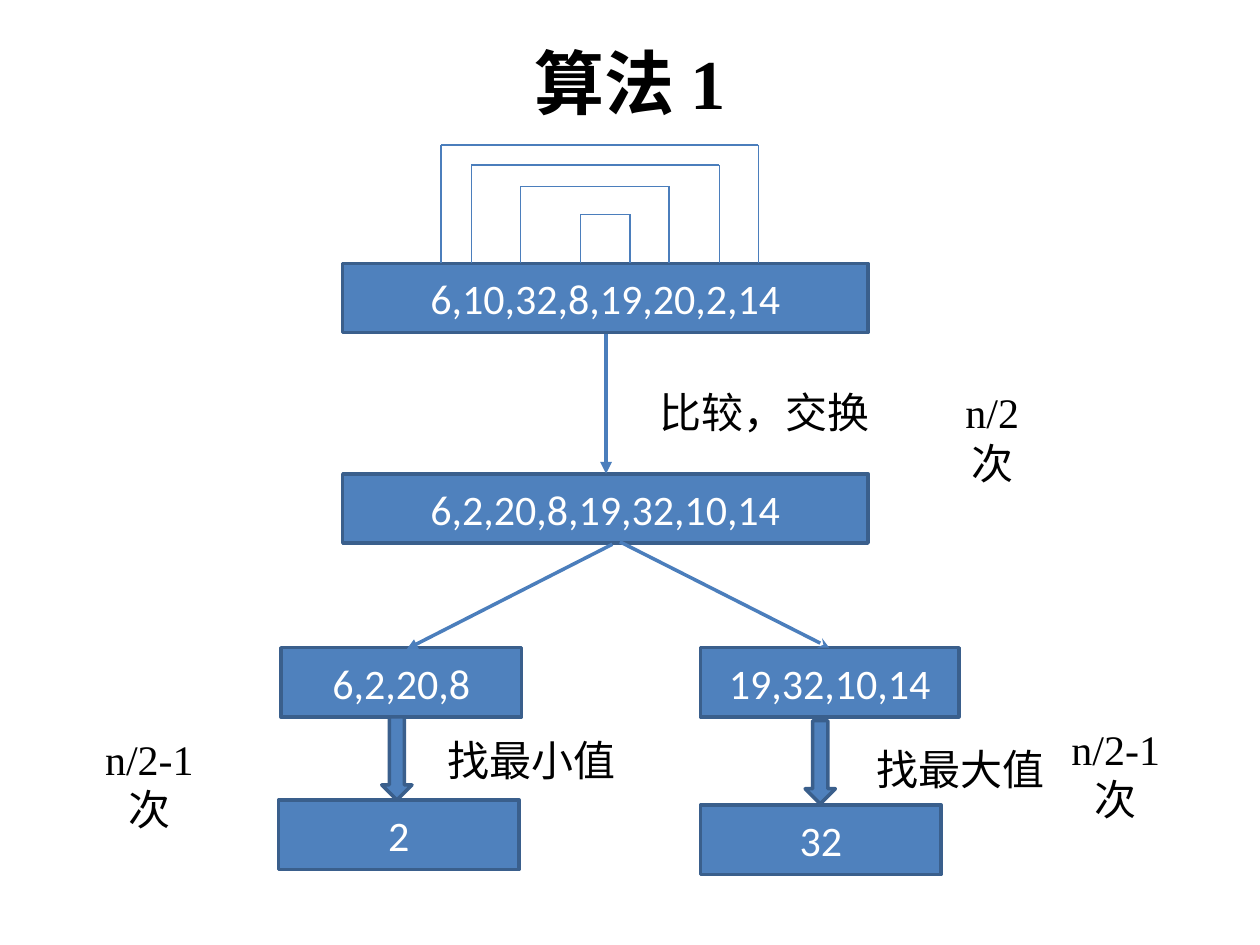
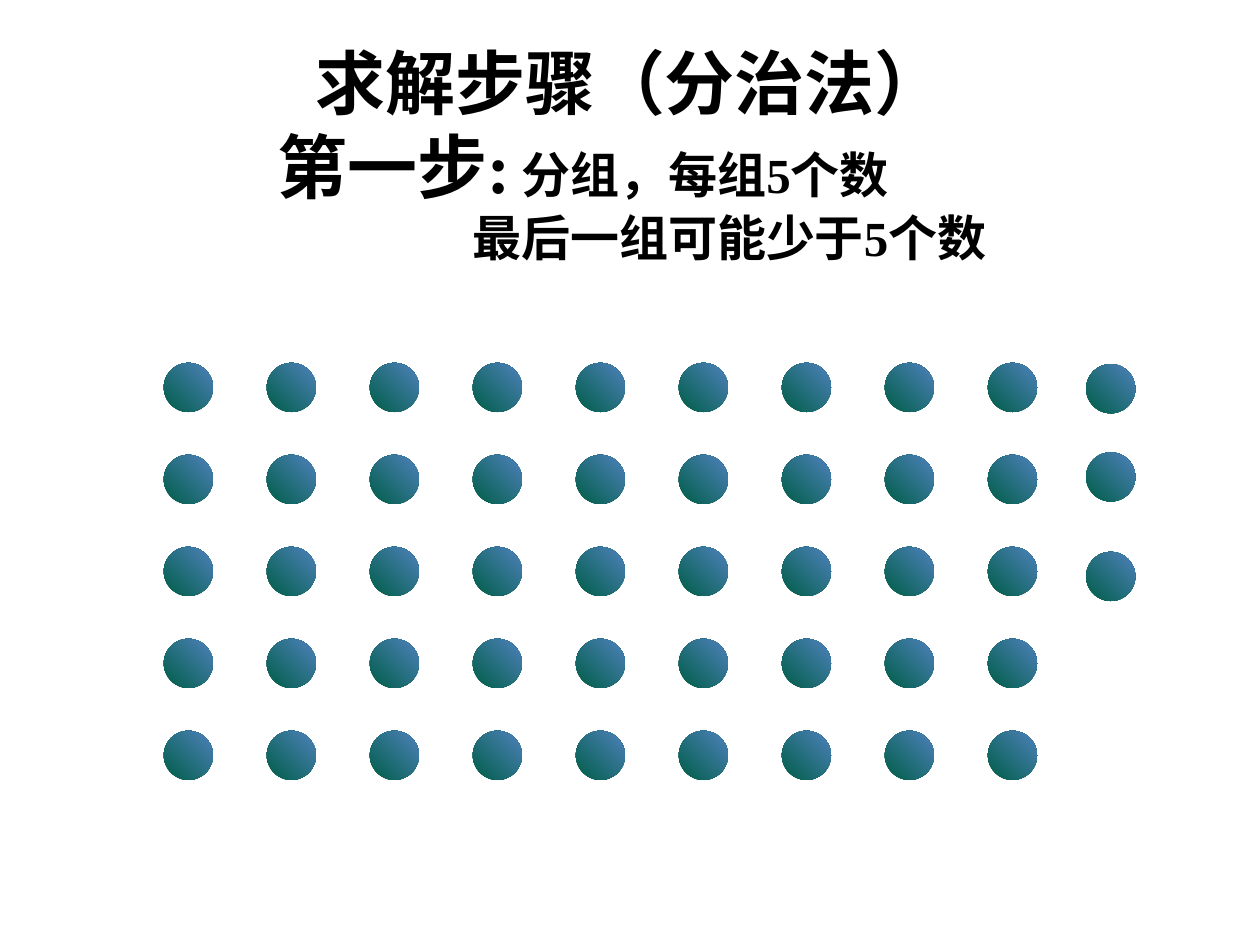
from dataclasses import dataclass

from lxml import etree
from pptx import Presentation
from pptx.dml.color import RGBColor
from pptx.enum.shapes import MSO_CONNECTOR, MSO_SHAPE
from pptx.enum.text import MSO_ANCHOR, MSO_AUTO_SIZE, PP_ALIGN
from pptx.oxml.ns import qn
from pptx.util import Inches, Pt

RECTANGLE, DOWN_ARROW, OVAL = MSO_SHAPE.RECTANGLE, MSO_SHAPE.DOWN_ARROW, MSO_SHAPE.OVAL
STRAIGHT = MSO_CONNECTOR.STRAIGHT
LEFT, CENTER = PP_ALIGN.LEFT, PP_ALIGN.CENTER
TOP, MIDDLE = MSO_ANCHOR.TOP, MSO_ANCHOR.MIDDLE
NO_AUTOFIT = MSO_AUTO_SIZE.NONE


@dataclass(frozen=True)
class Theme:
    blue: RGBColor = RGBColor.from_string("4F81BD")
    outline: RGBColor = RGBColor.from_string("3A5F8C")
    connector: RGBColor = RGBColor.from_string("4B7EBC")
    green: RGBColor = RGBColor.from_string("005E47")
    black: RGBColor = RGBColor.from_string("000000")
    white: RGBColor = RGBColor.from_string("FFFFFF")
    number_font: str = "Calibri"
    label_font: str = "Noto Sans CJK SC"
    serif_font: str = "Times New Roman"
    title_size: int = 40
    subtitle_size: int = 28
    body_size: int = 24
    outline_width: float = 2
    bracket_width: float = 0.75


THEME = Theme()
SLIDE_WIDTH, SLIDE_HEIGHT = 10, 7.5
TITLE_LEFT, TITLE_TOP, TITLE_WIDTH = 0.04, 0.26, 9.92

ALGORITHM_TITLE = [(CENTER, 0, None, [("算法 1", THEME.title_size)])]
STEP_TITLE = [
    (CENTER, 0, None, [("求解步骤（分治法）", THEME.title_size)]),
    (LEFT, 2.06, 4.58, [("第一步:\t", THEME.title_size),
                        ("分组，每组5个数", THEME.subtitle_size)]),
    (LEFT, 3.61, None, [("最后一组可能少于5个数", THEME.subtitle_size)]),
]

BOX_HEIGHT = 0.55
LIST_BOXES = [
    ("6,10,32,8,19,20,2,14", 2.72, 2.09, 4.17),
    ("6,2,20,8,19,32,10,14", 2.72, 3.76, 4.17),
    ("6,2,20,8", 2.23, 5.14, 1.91),
    ("19,32,10,14", 5.56, 5.14, 2.05),
    ("2", 2.21, 6.35, 1.91),
    ("32", 5.56, 6.39, 1.91),
]
BRACKET_BOTTOM = LIST_BOXES[0][2]
BRACKETS = [(3.5, 6.02, 1.15), (3.74, 5.71, 1.31), (4.13, 5.31, 1.48), (4.61, 5, 1.7)]
ARROWS = [
    ((4.81, 2.65), (4.81, 3.76), 2.25, "triangle"),
    ((4.86, 4.32), (3.23, 5.15), 2, "triangle"),
    ((4.92, 4.3), (6.58, 5.14), 2, "stealth"),
]
BLOCK_ARROWS = [(3.03, 5.69), (6.39, 5.72)]
BLOCK_ARROW_SIZE = (0.24, 0.66)

LABEL_HEIGHT = 0.5
STEP_LABELS = [
    ("比较，交换", 4.93, 3.02, 2.28),
    ("找最小值", 3.4, 5.78, 1.63),
    ("找最大值", 6.67, 5.85, 1.91),
]
COUNT_LABELS = [
    ("n/2次", 7.57, 3.02, 0.97),
    ("n/2-1次", 0.74, 5.77, 1.25),
    ("n/2-1次", 8.41, 5.69, 1.25),
]
COUNT_RIGHT_MARGIN = 0.36

BALL_SIZE = 0.39
GRID_LEFT, GRID_TOP = 1.3, 2.88
FULL_GROUPS, GROUP_SIZE = 9, 5
COLUMN_STEP, ROW_STEP = 6.54 / 8, 0.73
LAST_GROUP_LEFT, LAST_GROUP_TOPS = 8.62, [2.89, 3.59, 4.38]


def inches(*lengths):
    return [Inches(length) for length in lengths]


def style_font(font, name, size, color):
    font.name = name
    font.size = Pt(size)
    font.color.rgb = color


def add_title_slide(presentation, lines, height):
    slide = presentation.slides.add_slide(presentation.slide_layouts[5])
    title = slide.shapes.title
    title.left, title.top, title.width, title.height = inches(
        TITLE_LEFT, TITLE_TOP, TITLE_WIDTH, height)
    frame = title.text_frame
    frame.auto_size = NO_AUTOFIT
    frame.vertical_anchor = TOP
    for index, (alignment, indent, tab, runs) in enumerate(lines):
        paragraph = frame.add_paragraph() if index else frame.paragraphs[0]
        paragraph.alignment = alignment
        properties = paragraph._p.get_or_add_pPr()
        properties.set("marL", "0")
        properties.set("indent", str(Inches(indent)))
        if tab:
            tabs = etree.SubElement(properties, qn("a:tabLst"))
            etree.SubElement(tabs, qn("a:tab"), pos=str(Inches(tab)), algn="l")
        style_font(paragraph.font, THEME.serif_font, THEME.title_size, THEME.black)
        paragraph.font.bold = True
        for text, size in runs:
            run = paragraph.add_run()
            run.text = text
            run.font.size = Pt(size)
    return slide


def add_block(slide, kind, left, top, width, height):
    shape = slide.shapes.add_shape(kind, *inches(left, top, width, height))
    shape.shadow.inherit = False
    shape.fill.solid()
    shape.fill.fore_color.rgb = THEME.blue
    shape.line.color.rgb = THEME.outline
    shape.line.width = Pt(THEME.outline_width)
    return shape


def write_text(shape, text, font, color, anchor):
    frame = shape.text_frame
    frame.word_wrap = True
    frame.vertical_anchor = anchor
    paragraph = frame.paragraphs[0]
    paragraph.text = text
    paragraph.alignment = CENTER
    style_font(paragraph.font, font, THEME.body_size, color)


def add_label(slide, text, left, top, width, font):
    label = slide.shapes.add_textbox(*inches(left, top, width, LABEL_HEIGHT))
    write_text(label, text, font, THEME.black, TOP)
    return label


def add_line(slide, start, end, width, arrowhead=None):
    connector = slide.shapes.add_connector(STRAIGHT, *inches(*start, *end))
    connector.line.color.rgb = THEME.connector
    connector.line.width = Pt(width)
    if arrowhead:
        etree.SubElement(connector.line._get_or_add_ln(), qn("a:tailEnd"), type=arrowhead)
    etree.SubElement(connector._element.spPr, qn("a:effectLst"))


def add_bracket(slide, left, right, top):
    corners = [(left, BRACKET_BOTTOM), (left, top), (right, top), (right, BRACKET_BOTTOM)]
    for start, end in zip(corners, corners[1:]):
        add_line(slide, start, end, THEME.bracket_width)


def add_ball(slide, left, top):
    ball = slide.shapes.add_shape(OVAL, *inches(left, top, BALL_SIZE, BALL_SIZE))
    ball.shadow.inherit = False
    ball.line.fill.background()
    ball.fill.gradient()
    ball.fill.gradient_angle = 45
    for stop, color in zip(ball.fill.gradient_stops, (THEME.green, THEME.blue)):
        stop.color.rgb = color


def build_algorithm_slide(presentation):
    slide = add_title_slide(presentation, ALGORITHM_TITLE, 0.69)
    for text, left, top, width in LIST_BOXES:
        box = add_block(slide, RECTANGLE, left, top, width, BOX_HEIGHT)
        write_text(box, text, THEME.number_font, THEME.white, MIDDLE)
    for bracket in BRACKETS:
        add_bracket(slide, *bracket)
    for arrow in ARROWS:
        add_line(slide, *arrow)
    for position in BLOCK_ARROWS:
        add_block(slide, DOWN_ARROW, *position, *BLOCK_ARROW_SIZE)
    for label in STEP_LABELS:
        add_label(slide, *label, THEME.label_font)
    for label in COUNT_LABELS:
        frame = add_label(slide, *label, THEME.serif_font).text_frame
        frame.margin_left = 0
        frame.margin_right = Inches(COUNT_RIGHT_MARGIN)


def build_grouping_slide(presentation):
    slide = add_title_slide(presentation, STEP_TITLE, 1.84)
    for column in range(FULL_GROUPS):
        for row in range(GROUP_SIZE):
            add_ball(slide, GRID_LEFT + column * COLUMN_STEP, GRID_TOP + row * ROW_STEP)
    for top in LAST_GROUP_TOPS:
        add_ball(slide, LAST_GROUP_LEFT, top)


def main():
    presentation = Presentation()
    presentation.slide_width, presentation.slide_height = inches(SLIDE_WIDTH, SLIDE_HEIGHT)
    build_algorithm_slide(presentation)
    build_grouping_slide(presentation)
    presentation.save("out.pptx")


if __name__ == "__main__":
    main()
